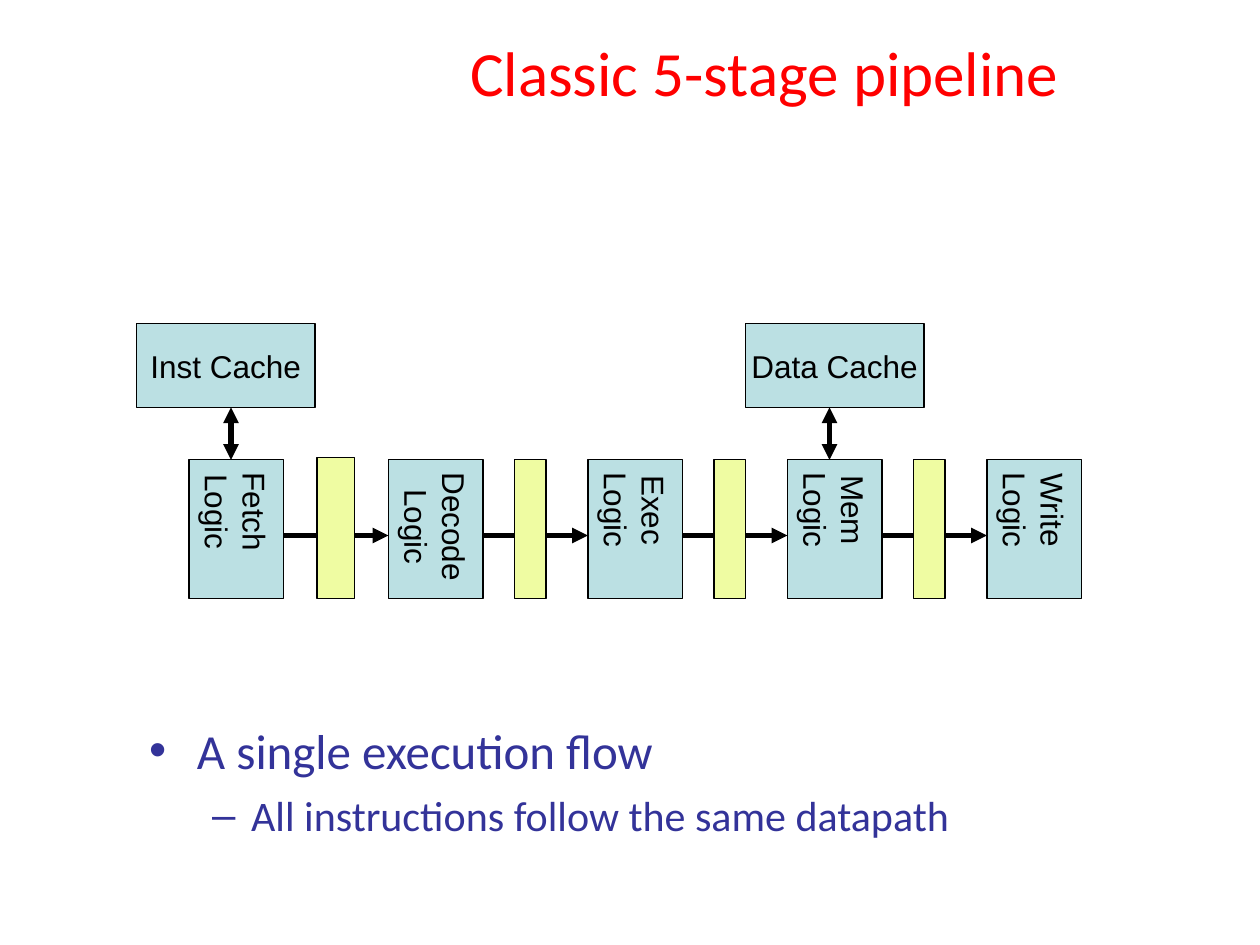
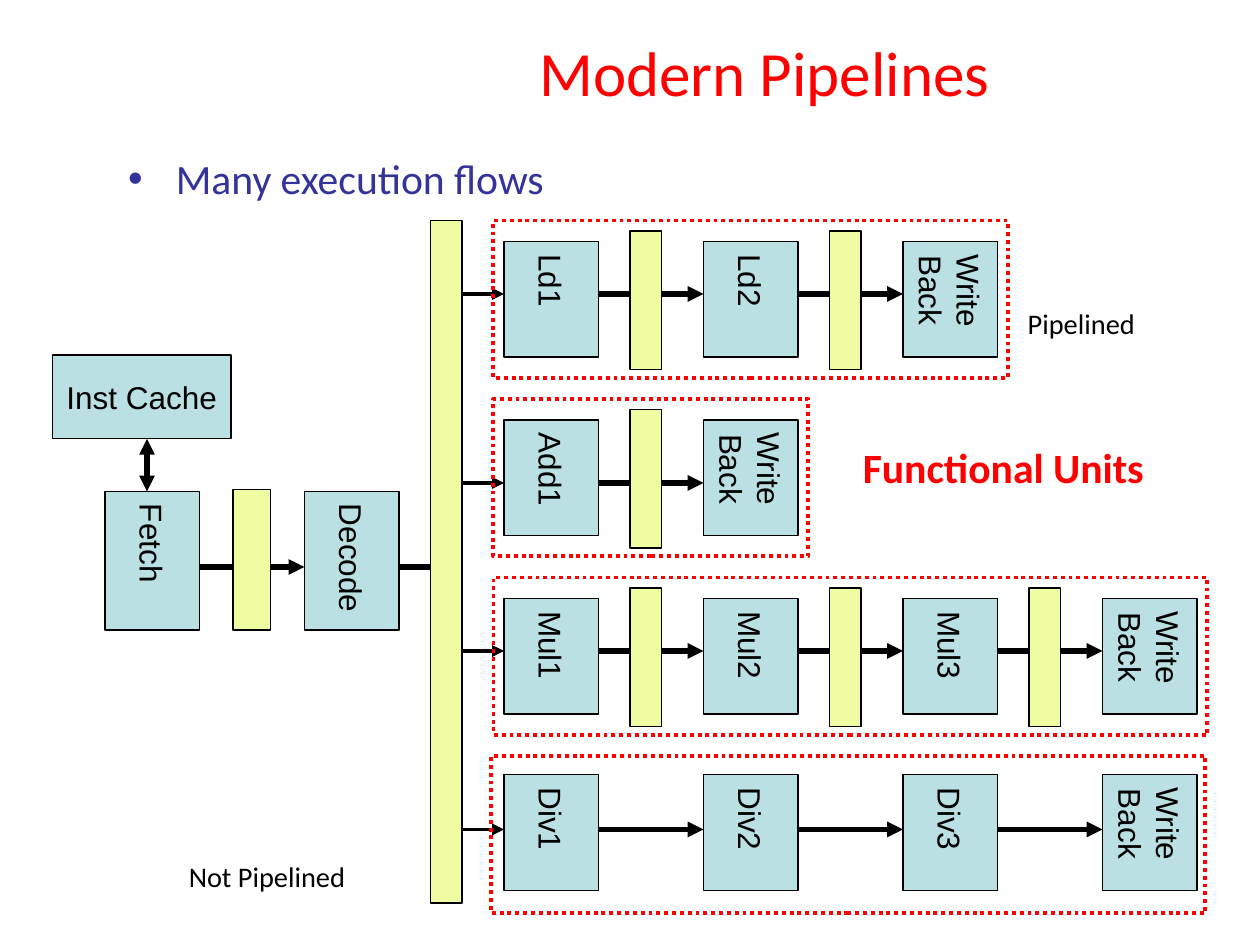
from dataclasses import dataclass
from typing import NamedTuple

from pptx import Presentation
from pptx.dml.color import RGBColor
from pptx.enum.dml import MSO_LINE
from pptx.enum.shapes import MSO_CONNECTOR, MSO_SHAPE
from pptx.enum.text import MSO_ANCHOR, MSO_AUTO_SIZE, PP_ALIGN
from pptx.oxml.ns import qn
from pptx.util import Emu, Inches, Pt
from lxml import etree

RECT = MSO_SHAPE.RECTANGLE
LINE = MSO_CONNECTOR.STRAIGHT
DOTS = MSO_LINE.ROUND_DOT
MID = MSO_ANCHOR.MIDDLE
TOP = MSO_ANCHOR.TOP
CENTER = PP_ALIGN.CENTER
LEFT = PP_ALIGN.LEFT
FIXED = MSO_AUTO_SIZE.NONE

COLORS = {"title": "FF0000", "list": "333399", "ink": "000000",
          "logic": "BBE0E3", "latch": "EFFCA2", "frame": "FF0000"}
BODY, LABEL = "Calibri", "Arial"

# Grid: 120 columns by 90 rows, all lengths below are in cells
COLS, ROWS = 120, 90
WIDE, HIGH = Inches(10), Inches(7.5)
CELL = WIDE / COLS

# Stages repeat every PITCH columns, a latch sits between two of them
PITCH, STAGE, LATCH = 19, 9, 3
TALL = 13.2


class Box(NamedTuple):
    x: float
    y: float
    w: float
    h: float


class Item(NamedTuple):
    text: str
    size: float
    level: int = 0


class Note(NamedTuple):
    text: str
    box: Box
    size: float
    color: str
    bold: bool = False
    base: int = 0


@dataclass
class Unit:
    stages: list[str]
    y: float
    flow: float = 7
    latched: bool = True
    x: float = 47
    drop: float = 2


TITLE = Box(31.7, 1.6, 82.2, 10.3)
BULLETS = [("•", 0.38, 0.38), ("–", 0.81, 0.31)]

UNITS = [
    Unit(["Ld1", "Ld2", "Write\nBack"], 21),
    Unit(["Add1", "Write\nBack"], 38, flow=8),
    Unit(["Mul1", "Mul2", "Mul3", "Write\nBack"], 55),
    Unit(["Div1", "Div2", "Div3", "Write\nBack"], 72, latched=False,
         x=46.8, drop=1.8),
]

NOTES = [
    Note("Functional Units", Box(81, 42, 36, 6), 23.8, "title", bold=True),
    Note("Pipelined", Box(96.7, 25.4, 17, 7.6), 28, "ink", base=-25000),
    Note("Not Pipelined", Box(16.8, 78.1, 21.6, 7.6), 28, "ink", base=-25000),
]


def cells(n: float) -> Emu:
    return Emu(round(n * CELL))


def tint(name: str) -> RGBColor:
    return RGBColor.from_string(COLORS[name])


def style(para, face: str, size: float, color: str, bold: bool = False) -> None:
    for run in para.runs:
        run.font.name = face
        run.font.size = Pt(size)
        run.font.bold = bold
        run.font.color.rgb = tint(color)


def place(shape, box: Box) -> None:
    shape.left, shape.top, shape.width, shape.height = map(cells, box)


# Shapes and arrows
def rect(slide, box: Box, fill: str = "", line: str = "ink",
         weight: float = 0.75):
    shape = slide.shapes.add_shape(RECT, *map(cells, box))
    shape.shadow.inherit = False
    if fill:
        shape.fill.solid()
        shape.fill.fore_color.rgb = tint(fill)
    else:
        shape.fill.background()
    shape.line.color.rgb = tint(line)
    shape.line.width = Pt(weight)
    return shape


def logic(slide, text: str, box: Box, turned: bool = True) -> None:
    frame = rect(slide, box, "logic").text_frame
    frame.text = text
    frame.word_wrap = False
    frame.vertical_anchor = MID
    if turned:
        frame.margin_left = frame.margin_right = Inches(0.05)
        frame.margin_top = frame.margin_bottom = Inches(0.1)
        frame._txBody.bodyPr.set("vert", "eaVert")
    for para in frame.paragraphs:
        para.alignment = CENTER
        style(para, LABEL, 18, "ink")


def arrow(slide, x1: float, y1: float, x2: float, y2: float,
          weight: float = 3, both: bool = False) -> None:
    link = slide.shapes.add_connector(LINE, *map(cells, (x1, y1, x2, y2)))
    link.line.color.rgb = tint("ink")
    link.line.width = Pt(weight)
    props = link._element.spPr
    ends = ("a:headEnd", "a:tailEnd") if both else ("a:tailEnd",)
    for end in ends:
        etree.SubElement(props.find(qn("a:ln")), qn(end), type="triangle")
    etree.SubElement(props, qn("a:effectLst"))


def row(slide, names: list[str], x: float, y: float, high: float,
        flow: float) -> None:
    for i, name in enumerate(names):
        left = x + i * PITCH
        logic(slide, name, Box(left, y, STAGE, high))
        if i:
            arrow(slide, left + STAGE - PITCH, flow, left, flow)


def latches(slide, count: int, x: float, y: float) -> None:
    for i in range(count):
        rect(slide, Box(x + i * PITCH, y, LATCH, TALL), "latch")


def cache(slide, text: str, x: float, stage: float, y: float) -> None:
    logic(slide, text, Box(x, y - 13, 17, 8), turned=False)
    arrow(slide, stage + 4, y - 5, stage + 4, y, both=True)


def front(slide, names: list[str], x: float, y: float) -> None:
    """Stages from fetch on, with the instruction cache and first latch."""
    row(slide, names, x, y, TALL, y + 7.2)
    cache(slide, "Inst Cache", x - 5, x, y)
    rect(slide, Box(x + 12.2, y - 0.2, 3.6, 13.4), "latch")


# Title, lists and notes
def bullet(para, level: int) -> None:
    mark, margin, hang = BULLETS[level]
    props = para._p.get_or_add_pPr()
    props.set("marL", str(Inches(margin)))
    props.set("indent", str(-Inches(hang)))
    color = etree.SubElement(props, qn("a:buClr"))
    etree.SubElement(color, qn("a:srgbClr"), val=COLORS["list"])
    etree.SubElement(props, qn("a:buFont"), typeface=LABEL)
    etree.SubElement(props, qn("a:buChar"), char=mark)


def start(deck, title: str, box: Box, items: list[Item]):
    slide = deck.slides.add_slide(deck.slide_layouts[1])
    head, body = slide.placeholders
    place(head, TITLE)
    place(body, box)
    for shape, anchor in ((head, MID), (body, TOP)):
        shape.text_frame.auto_size = FIXED
        shape.text_frame.word_wrap = True
        shape.text_frame.vertical_anchor = anchor

    head.text_frame.text = title
    para = head.text_frame.paragraphs[0]
    para.alignment = CENTER
    style(para, BODY, 36, "title")

    body.text_frame.text = "\n".join(item.text for item in items)
    for i, (para, item) in enumerate(zip(body.text_frame.paragraphs, items)):
        para.level = item.level
        bullet(para, item.level)
        para.alignment = LEFT
        para.space_before = Pt(6 if i else 0)
        style(para, BODY, item.size, "list")
    return slide


def write(slide, note: Note) -> None:
    frame = slide.shapes.add_textbox(*map(cells, note.box)).text_frame
    frame.word_wrap = True
    frame.text = note.text
    para = frame.paragraphs[0]
    style(para, BODY, note.size, note.color, note.bold)
    if note.base:
        para.runs[0]._r.get_or_add_rPr().set("baseline", str(note.base))
    if note.bold:
        para.line_spacing = 0.9


# Slides
def classic(deck) -> None:
    slide = start(deck, "Classic 5-stage pipeline", Box(13, 68, 94, 13), [
        Item("A single execution flow", 28),
        Item("All instructions follow the same datapath", 24, 1)])
    x, y = 18, 43.8
    names = ["Fetch", "Decode", "Exec", "Mem", "Write"]
    front(slide, [f"{name}\nLogic" for name in names], x, y)
    cache(slide, "Data Cache", 71, x + 3 * PITCH, y)
    latches(slide, 3, x + PITCH + 12, y)


def modern(deck) -> None:
    slide = start(deck, "Modern Pipelines", Box(11, 14, 97, 6),
                  [Item("Many execution flows", 23.8)])
    front(slide, ["Fetch", "Decode"], 10, 46.8)
    arrow(slide, 38, 54, 43, 54)
    for unit in UNITS:
        count = len(unit.stages)
        flow = unit.y + unit.flow
        row(slide, unit.stages, 48, unit.y + unit.drop, 11, flow)
        arrow(slide, 43, flow, 48, flow, weight=2.25)
        if unit.latched:
            latches(slide, count - 1, 60, unit.y + 1)
        frame = rect(slide, Box(unit.x, unit.y, count * PITCH - 8, 15),
                     line="frame", weight=2.25)
        frame.line.dash_style = DOTS
    rect(slide, Box(41, 21, LATCH, 65), "latch")
    for note in NOTES:
        write(slide, note)


def main() -> None:
    deck = Presentation()
    deck.slide_width, deck.slide_height = WIDE, HIGH
    classic(deck)
    modern(deck)
    deck.save("out.pptx")


if __name__ == "__main__":
    main()
